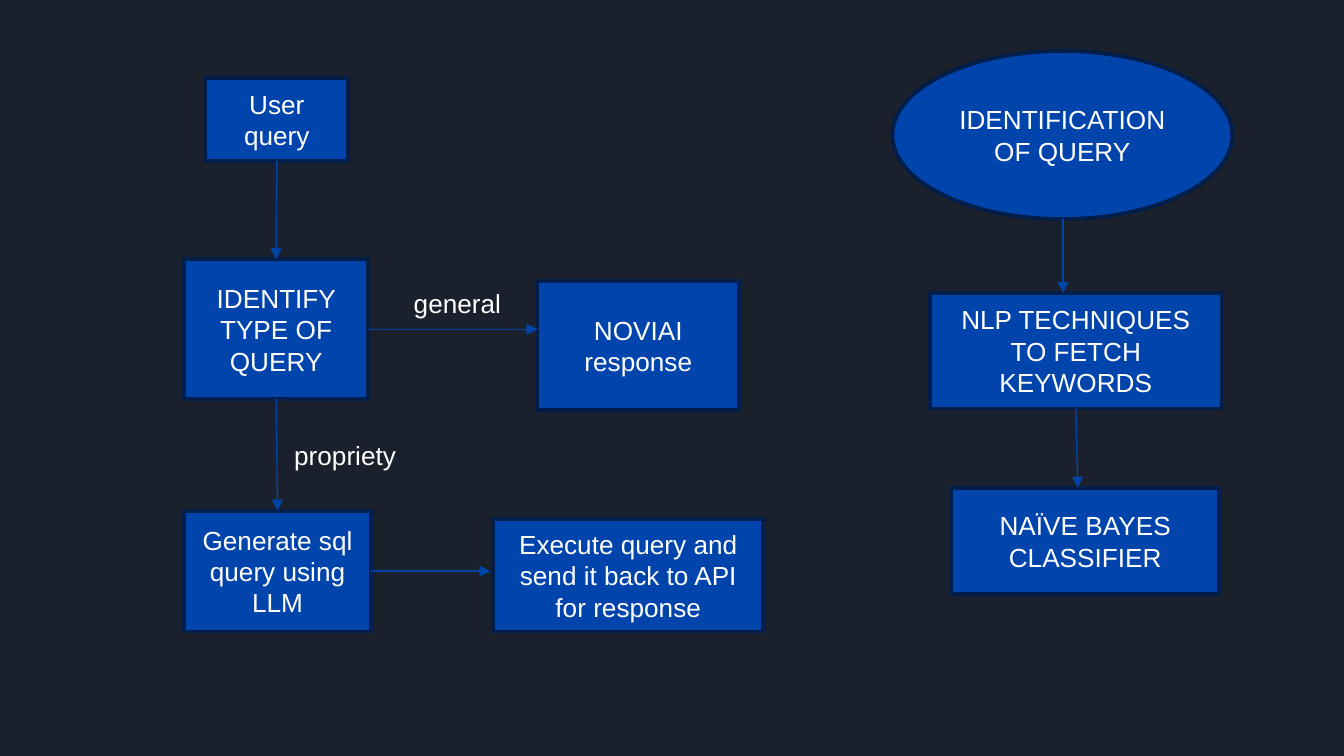
from lxml.etree import SubElement
from pptx import Presentation
from pptx.dml.color import RGBColor
from pptx.enum.shapes import MSO_CONNECTOR, MSO_SHAPE
from pptx.enum.text import MSO_ANCHOR, PP_ALIGN
from pptx.oxml.ns import qn
from pptx.util import Inches, Pt

BACKGROUND, FILL, OUTLINE = "1B212C", "0145AC", "001E4B"
ARROW, WHITE = "0043A9", "FFFFFF"
TOP, LEFT, BOTTOM, RIGHT = range(4)

# Flow steps: name -> (text, left, top, width, height)
STEPS = {
    "user": ("User query", 1.53, 0.58, 1.06, 0.62),
    "identify": ("IDENTIFY TYPE OF QUERY", 1.37, 1.93, 1.37, 1.04),
    "answer": ("NOVIAI response", 4, 2.09, 1.5, 0.96),
    "generate": ("Generate sql query using LLM", 1.37, 3.8, 1.39, 0.9),
    "execute": ("Execute query and send it back to API for response",
                3.67, 3.86, 2.01, 0.84),
    "identification": ("IDENTIFICATION OF QUERY", 6.64, 0.38, 2.53, 1.25),
    "keywords": ("NLP TECHNIQUES TO FETCH KEYWORDS", 6.92, 2.18, 2.17, 0.86),
    "classifier": ("NAÏVE BAYES CLASSIFIER", 7.08, 3.63, 1.99, 0.79),
}
OVALS = {"identification"}

# Branch labels: (text, left, top, width, height)
LABELS = [
    ("general", 2.98, 2.09, 0.88, 0.34),
    ("propriety", 2.09, 3.22, 1.01, 0.34),
]

# Arrows: each end is (step, side) when joined, or a free (x, y) point
ARROWS = [
    (("user", BOTTOM), ("identify", TOP)),
    (("identify", RIGHT), (4, 2.45)),
    (("identify", BOTTOM), ("generate", TOP)),
    (("generate", RIGHT), (3.65, 4.25)),
    ((7.91, 1.63), (7.91, 2.18)),
    (("keywords", BOTTOM), (8.02, 3.63)),
]


def rgb(value):
    return RGBColor.from_string(value)


def write(shape, text, align=PP_ALIGN.LEFT, anchor=MSO_ANCHOR.TOP,
          size=14, color=WHITE, font="Arial"):
    tf = shape.text_frame
    tf.word_wrap = True
    tf.vertical_anchor = anchor
    p = tf.paragraphs[0]
    p.alignment = align
    r = p.add_run()
    r.text = text
    r.font.size, r.font.name = Pt(size), font
    r.font.color.rgb = rgb(color)


def add_step(s, kind, text, box):
    sp = s.shapes.add_shape(kind, *map(Inches, box))
    sp.shadow.inherit = False
    sp.fill.solid()
    sp.fill.fore_color.rgb = rgb(FILL)
    sp.line.color.rgb = rgb(OUTLINE)
    sp.line.width = Pt(2)
    write(sp, text, align=PP_ALIGN.CENTER, anchor=MSO_ANCHOR.MIDDLE)
    return sp


def is_joined(end):
    return isinstance(end[0], str)


def locate(end):
    """Return the point of an arrow's end in inches."""
    if not is_joined(end):
        return end
    name, side = end
    x, y, w, h = STEPS[name][1:]
    return [(x + w / 2, y), (x, y + h / 2),
            (x + w / 2, y + h), (x + w, y + h / 2)][side]


def add_arrow(s, start, end, steps):
    points = (*locate(start), *locate(end))
    line = s.shapes.add_connector(MSO_CONNECTOR.STRAIGHT, *map(Inches, points))
    for place, connect in ((start, line.begin_connect), (end, line.end_connect)):
        if is_joined(place):
            connect(steps[place[0]], place[1])
    line.line.color.rgb = rgb(ARROW)
    line.line.width = Pt(0.75)
    SubElement(line.get_or_add_ln(), qn("a:tailEnd"), type="triangle")
    SubElement(line._element.spPr, qn("a:effectLst"))


def main():
    prs = Presentation()
    # Widescreen, 16:9
    prs.slide_width, prs.slide_height = Inches(10), Inches(10 * 9 / 16)
    s = prs.slides.add_slide(prs.slide_layouts[6])
    s.background.fill.solid()
    s.background.fill.fore_color.rgb = rgb(BACKGROUND)

    # Steps
    steps = {}
    for name, (text, *box) in STEPS.items():
        kind = MSO_SHAPE.OVAL if name in OVALS else MSO_SHAPE.RECTANGLE
        steps[name] = add_step(s, kind, text, box)

    # Arrows between steps
    for start, end in ARROWS:
        add_arrow(s, start, end, steps)

    # Branch labels
    for text, *box in LABELS:
        write(s.shapes.add_textbox(*map(Inches, box)), text)

    prs.save("out.pptx")


if __name__ == "__main__":
    main()
